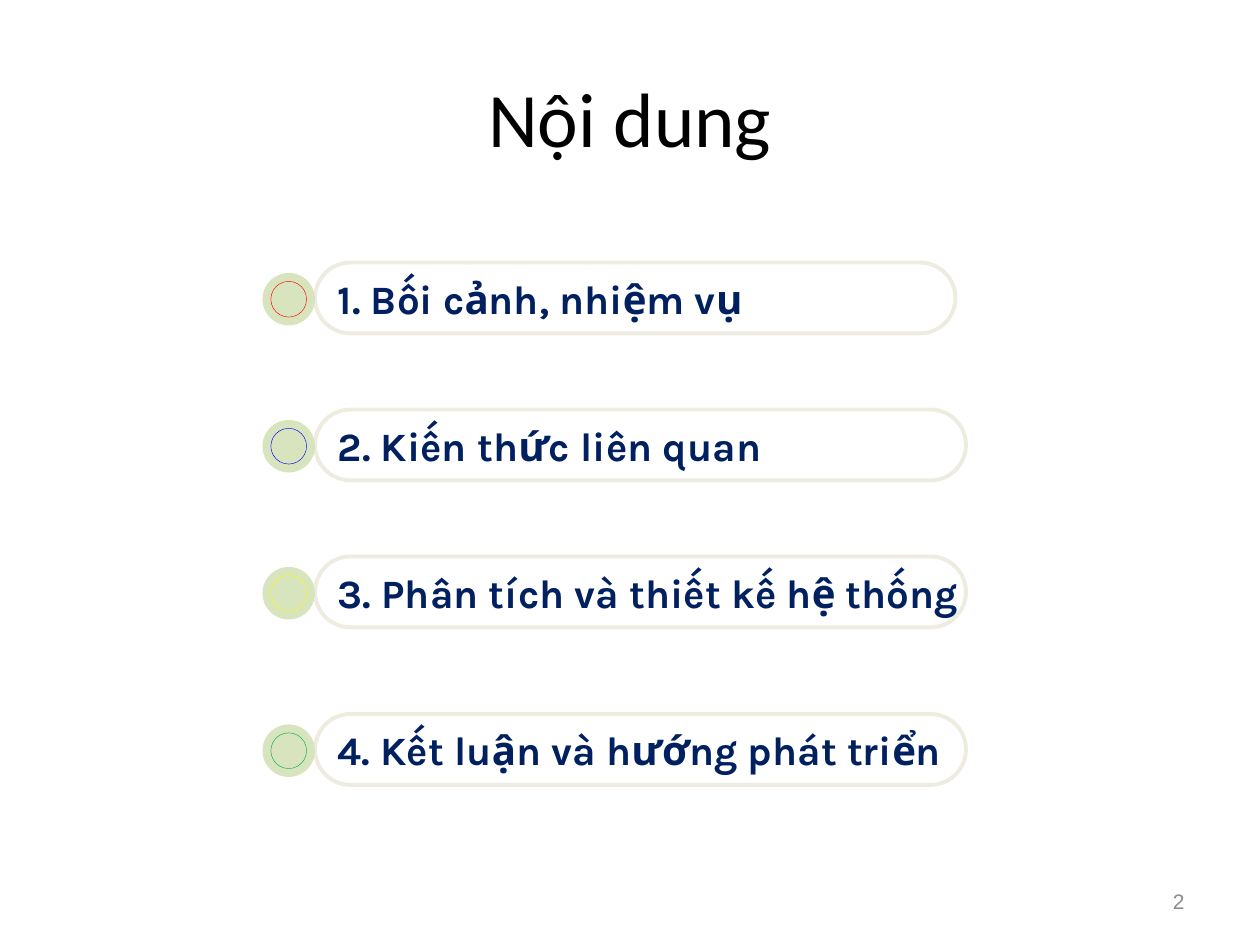
import pptx
import pptx.dml.color
import pptx.enum.shapes
import pptx.enum.text
import pptx.util

Pt = pptx.util.Pt
SHAPE = pptx.enum.shapes.MSO_SHAPE
ALIGN = pptx.enum.text.PP_ALIGN
NAVY, CREAM, GREEN = "002060", "EEECE1", "D7E4BD"


def rgb(color):
    return pptx.dml.color.RGBColor.from_string(color)


def set_text(sp, text, font, size, color, align, bold=False):
    tf = sp.text_frame
    tf.text = text
    tf.vertical_anchor = pptx.enum.text.MSO_ANCHOR.MIDDLE
    p = tf.paragraphs[0]
    p.alignment = align
    r = p.runs[0]
    r.font.name = font
    r.font.size = Pt(size)
    r.font.bold = bold
    r.font.color.rgb = rgb(color)


prs = pptx.Presentation()
prs.slide_width, prs.slide_height = Pt(720), Pt(540)
s = prs.slides.add_slide(prs.slide_layouts[6])

# Agenda items: text, top, pill width, ring colour
items = [
    ("1. Bối cảnh, nhiệm vụ", 150, 366, "FF0000"),
    ("2. Kiến thức liên quan", 234, 372, "0000FF"),
    ("3. Phân tích và thiết kế hệ thống", 318, 372, "FFFF00"),
    ("4. Kết luận và hướng phát triển", 408, 372, "00B050"),
]
for text, top, width, ring_color in items:
    sp = s.shapes.add_shape(SHAPE.ROUNDED_RECTANGLE, Pt(180), Pt(top), Pt(width), Pt(40.5))
    sp.adjustments[0] = 0.5
    sp.shadow.inherit = False
    sp.fill.solid()
    sp.fill.fore_color.rgb = rgb("FFFFFF")
    sp.line.color.rgb = rgb(CREAM)
    sp.line.width = Pt(2.25)
    set_text(sp, text, "Karla", 23, NAVY, ALIGN.LEFT, bold=True)
    sp.text_frame.word_wrap = False

    # Concentric discs; only the innermost has an outline
    group = s.shapes.add_group_shape()
    center_x, center_y = 165, top + 21
    for size in (30, 26.5, 23.5, 20.4):
        sp = group.shapes.add_shape(SHAPE.OVAL, Pt(center_x - size / 2),
                                    Pt(center_y - size / 2), Pt(size), Pt(size))
        sp.shadow.inherit = False
        sp.fill.solid()
        sp.fill.fore_color.rgb = rgb(GREEN)
        sp.line.fill.background()
    sp.line.color.rgb = rgb(ring_color)
    sp.line.width = Pt(0.25)

title = s.shapes.add_textbox(Pt(36), Pt(21.6), Pt(648), Pt(90))
title.text_frame.word_wrap = True
set_text(title, "Nội dung", "Calibri", 44, "000000", ALIGN.CENTER)

number = s.shapes.add_textbox(Pt(516), Pt(500.5), Pt(168), Pt(28.75))
number.text_frame.word_wrap = True
set_text(number, "2", "Arial", 12, "8C8C8C", ALIGN.RIGHT)

prs.save("out.pptx")
